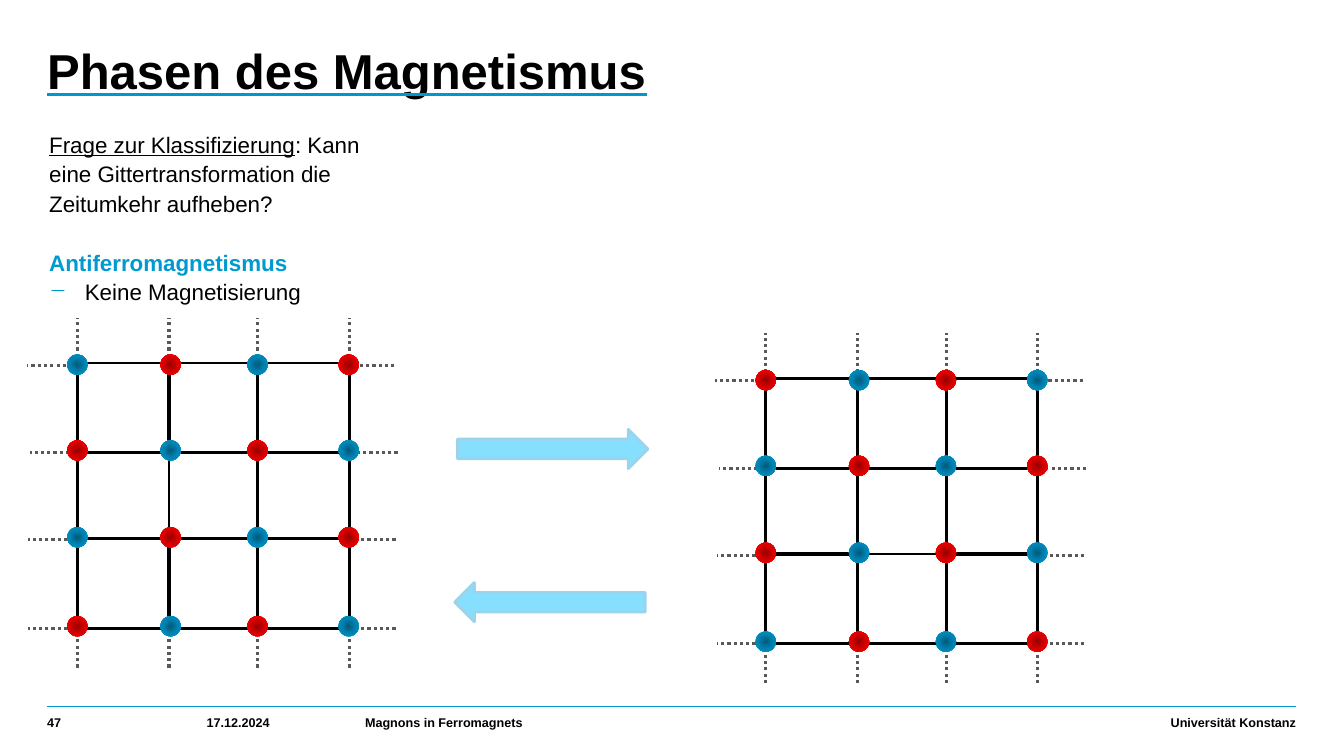
import pptx
import pptx.util
import pptx.dml.color
import pptx.enum.dml
import pptx.enum.shapes
import pptx.enum.text
import pptx.oxml
import pptx.oxml.ns

Cm, Pt = pptx.util.Cm, pptx.util.Pt
SHAPE = pptx.enum.shapes.MSO_SHAPE
ALIGN = pptx.enum.text.PP_ALIGN
ANCHOR = pptx.enum.text.MSO_ANCHOR
DOTTED = pptx.enum.dml.MSO_LINE.ROUND_DOT

TITLE = "Phasen des Magnetismus"
QUESTION = ("Frage zur Klassifizierung",
            ": Kann eine Gittertransformation die Zeitumkehr aufheben?")
PHASE = "Antiferromagnetismus"
PROPERTY = "Keine Magnetisierung"
FOOTER = [
    ("47", 1.19, 3.45, ALIGN.LEFT),
    ("17.12.2024", 5.21, 3.48, ALIGN.LEFT),
    ("Magnons in Ferromagnets", 9.2, 16, ALIGN.LEFT),
    ("Universität Konstanz", 21.2, 11.46, ALIGN.RIGHT),
]
LATTICES = [(1.95, 9.15, ("up", "down")), (19.3, 9.54, ("down", "up"))]
ARROWS = [(11.53, 10.82, 0), (11.46, 14.68, 180)]

COLUMNS = (0, 2.31, 4.55, 6.85)
ROWS = (0, 2.26, 4.42, 6.68)
SPIN_COLUMNS = (0, 2.35, 4.54, 6.84)
SPIN_ROWS = (0.04, 2.2, 4.39, 6.63)
STUB_ROWS = ((0.05, 0), (2.26, 0.08), (4.45, 0.03), (6.68, 0.03))
STUB = 1.14
SPIN = 0.51

THEME = {
    "font": "Arial", "title": 35, "body": 16, "footer": 9,
    "text": "000000", "accent": "009AD1", "rule": "0097CC",
    "bond": "000000", "stub": "595959",
    "arrow": "87DFFF", "arrow_edge": "9BD3EA",
    "up": ("005B7C", "0082B0", "009AD1"),
    "down": ("970000", "D70000", "FF0000"),
}

prs = pptx.Presentation()
prs.slide_width, prs.slide_height = Cm(33.87), Cm(19.05)
slide = prs.slides.add_slide(prs.slide_layouts[6])


def rgb(name):
    return pptx.dml.color.RGBColor.from_string(THEME[name])


def element(xml):
    namespace = pptx.oxml.ns.nsdecls("a")
    return pptx.oxml.parse_xml(xml.replace(">", f" {namespace}>", 1))


def text_frame(left, top, width, height, bottom=0):
    frame = slide.shapes.add_textbox(Cm(left), Cm(top), Cm(width), Cm(height)).text_frame
    frame.word_wrap = True
    frame.margin_left = frame.margin_top = frame.margin_right = 0
    frame.margin_bottom = Cm(bottom)
    return frame


def style(run, size, color="text", bold=False, underline=False):
    run.font.size = Pt(THEME[size])
    run.font.bold = bold
    run.font.underline = underline
    run.font.color.rgb = rgb(color)
    run.font.name = THEME["font"]


def line(shapes, start, end, color, width, dash=None):
    connector = shapes.add_connector(
        pptx.enum.shapes.MSO_CONNECTOR.STRAIGHT, *(Cm(v) for v in start + end))
    connector.line.color.rgb = rgb(color)
    connector.line.width = Pt(width)
    if dash is not None:
        connector.line.dash_style = dash
    connector._element.spPr.append(element("<a:effectLst></a:effectLst>"))


def shape(shapes, kind, left, top, width, height):
    part = shapes.add_shape(kind, Cm(left), Cm(top), Cm(width), Cm(height))
    part.shadow.inherit = False
    part.fill.background()
    part.line.fill.background()
    return part


def spin(shapes, x, y, direction):
    ball = shape(shapes, SHAPE.OVAL, x - SPIN / 2, y - SPIN / 2, SPIN, SPIN)
    stops = "".join(f'<a:gs pos="{i * 50000}"><a:srgbClr val="{color}"/></a:gs>'
                    for i, color in enumerate(THEME[direction]))
    gradient = element(
        f'<a:gradFill><a:gsLst>{stops}</a:gsLst><a:path path="circle">'
        '<a:fillToRect l="50000" t="50000" r="50000" b="50000"/></a:path></a:gradFill>')
    properties = ball._element.spPr
    properties.replace(properties.find(pptx.oxml.ns.qn("a:noFill")), gradient)


def lattice(x, y, directions):
    shapes = slide.shapes.add_group_shape().shapes
    for row, shift in STUB_ROWS:
        for begin in (-1.27, COLUMNS[-1]):
            left = x + begin + shift
            line(shapes, (left + STUB, y + row), (left, y + row), "stub", 2.25, DOTTED)
    for column in COLUMNS:
        for bottom in (0, ROWS[-1] + 0.99):
            line(shapes, (x + column, y + bottom), (x + column, y + bottom - STUB),
                 "stub", 2.25, DOTTED)
    for first, last in ((0, 3), (1, 2)):
        cell = shape(shapes, SHAPE.RECTANGLE, x + COLUMNS[first], y + ROWS[first],
                     COLUMNS[last] - COLUMNS[first], ROWS[last] - ROWS[first])
        cell.line.color.rgb = rgb("bond")
        cell.line.width = Pt(2)
    for inner in (1, 2):
        for edge in (0, 2):
            line(shapes, (x + COLUMNS[inner], y + ROWS[edge + 1]),
                 (x + COLUMNS[inner], y + ROWS[edge]), "bond", 2.25)
            line(shapes, (x + COLUMNS[edge], y + ROWS[inner]),
                 (x + COLUMNS[edge + 1], y + ROWS[inner]), "bond", 2.25)
    for i, row in enumerate(SPIN_ROWS):
        for j, column in enumerate(SPIN_COLUMNS):
            spin(shapes, x + column, y + row, directions[(i + j) % 2])


line(slide.shapes, (1.19, 17.81), (32.66, 17.81), "rule", 1)

body = text_frame(1.24, 3.23, 8.86, 12.8)
question = body.paragraphs[0]
for wording, underline in zip(QUESTION, (True, False)):
    part = question.add_run()
    part.text = wording
    style(part, "body", underline=underline)
phase = body.add_paragraph()
phase.text = PHASE
phase.space_before = Pt(21)
style(phase.runs[0], "body", "accent", bold=True)
magnetisation = body.add_paragraph()
magnetisation.text = PROPERTY
magnetisation.level = 1
indent = magnetisation._p.get_or_add_pPr()
indent.set("marL", str(Cm(0.9)))
indent.set("indent", str(-Cm(0.9)))
indent.append(element(f'<a:buClr><a:srgbClr val="{THEME["accent"]}"/></a:buClr>'))
indent.append(element('<a:buChar char="−"></a:buChar>'))
style(magnetisation.runs[0], "body")
for paragraph in body.paragraphs:
    paragraph.line_spacing = 1.1

title = text_frame(1.19, 1.12, 23.47, 1.96).paragraphs[0]
title.text = TITLE
title.line_spacing = 0.95
style(title.runs[0], "title", bold=True, underline=True)
title.runs[0].font._element.find(pptx.oxml.ns.qn("a:latin")).addprevious(element(
    f'<a:uFill><a:solidFill><a:srgbClr val="{THEME["rule"]}"/></a:solidFill></a:uFill>'))

for wording, left, width, alignment in FOOTER:
    frame = text_frame(left, 17.93, width, 0.61, 0.15)
    frame.vertical_anchor = ANCHOR.BOTTOM
    frame.text = wording
    frame.paragraphs[0].alignment = alignment
    style(frame.paragraphs[0].runs[0], "footer", bold=True)

for x, y, directions in LATTICES:
    lattice(x, y, directions)

for left, top, rotation in ARROWS:
    arrow = shape(slide.shapes, SHAPE.RIGHT_ARROW, left, top, 4.8, 0.99)
    arrow.rotation = rotation
    arrow.fill.solid()
    arrow.fill.fore_color.rgb = rgb("arrow")
    arrow.line.color.rgb = rgb("arrow_edge")
    arrow.line.width = Pt(2)

prs.save("out.pptx")
